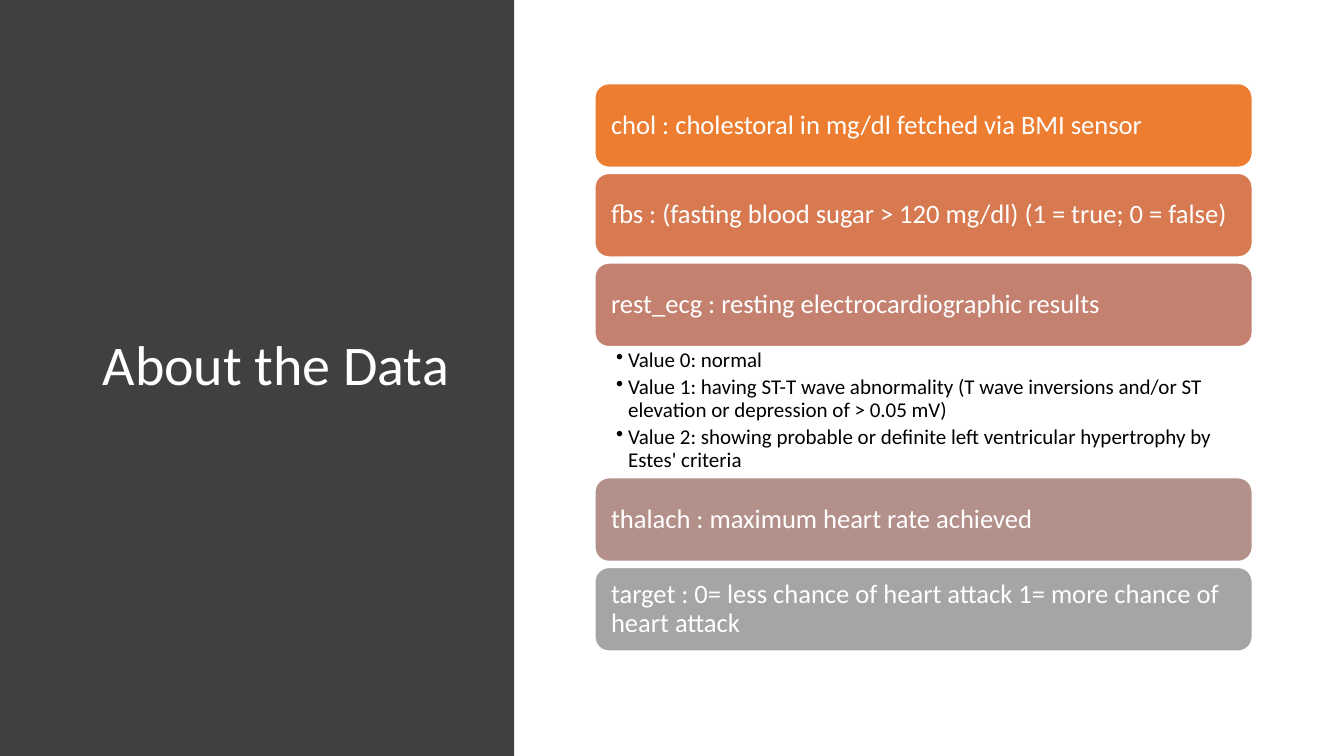
from dataclasses import dataclass

import pptx
import pptx.dml.color
import pptx.enum.shapes
import pptx.enum.text
import pptx.oxml
import pptx.oxml.ns
import pptx.util

Inches = pptx.util.Inches
Pt = pptx.util.Pt
Shapes = pptx.enum.shapes.MSO_SHAPE
Anchor = pptx.enum.text.MSO_ANCHOR


@dataclass(frozen=True)
class Theme:
    font: str = "Calibri"
    title_size: int = 40
    bar_size: int = 19
    bullet_size: int = 15
    panel: str = "404040"
    light: str = "FFFFFF"
    dark: str = "000000"


@dataclass(frozen=True)
class Box:
    left: float
    top: float
    width: float
    height: float

    def lengths(self):
        return [Inches(side) for side in (self.left, self.top, self.width, self.height)]


THEME = Theme()
BAR_HEIGHT = 0.83
BAR_GAP = 0.06
LIST_HEIGHT = 1.3
BULLET_INDENT = 0.12

FIELDS = [
    ("chol : cholestoral in mg/dl fetched via BMI sensor", "ED7D31", []),
    ("fbs : (fasting blood sugar > 120 mg/dl) (1 = true; 0 = false)", "D87A51", []),
    ("rest_ecg : resting electrocardiographic results", "C48170", [
        "Value 0: normal",
        "Value 1: having ST-T wave abnormality (T wave inversions and/or ST "
        "elevation or depression of > 0.05 mV)",
        "Value 2: showing probable or definite left ventricular hypertrophy by "
        "Estes' criteria",
    ]),
    ("thalach : maximum heart rate achieved", "B4908B", []),
    ("target : 0= less chance of heart attack 1= more chance of heart attack", "A5A5A5", []),
]


def color(value):
    return pptx.dml.color.RGBColor.from_string(value)


def prepare_frame(shape, anchor, insets):
    """Set wrapping, anchor and the left, top, right and bottom insets."""
    frame = shape.text_frame
    frame.word_wrap = True
    frame.vertical_anchor = anchor
    (frame.margin_left, frame.margin_top,
     frame.margin_right, frame.margin_bottom) = map(Inches, insets)
    return frame


def write(para, text, size, ink):
    para.alignment = pptx.enum.text.PP_ALIGN.LEFT
    para.line_spacing = 0.9
    span = para.add_run()
    span.text = text
    span.font.name = THEME.font
    span.font.size = Pt(size)
    span.font.color.rgb = color(ink)


def add_block(page, kind, box, fill):
    shape = page.shapes.add_shape(kind, *box.lengths())
    shape.shadow.inherit = False
    shape.fill.solid()
    shape.fill.fore_color.rgb = color(fill)
    return shape


def add_title_panel(page, box):
    panel = add_block(page, Shapes.RECTANGLE, box, THEME.panel)
    panel.line.fill.background()
    title_box = Box(box.left + 0.92, box.top + 0.68, box.width - 1.43, box.height - 1.58)
    title = page.shapes.add_textbox(*title_box.lengths())
    frame = prepare_frame(title, Anchor.MIDDLE, (0.1, 0.05, 0.1, 0.05))
    write(frame.paragraphs[0], "About the Data", THEME.title_size, THEME.light)


def add_bar(page, box, text, fill):
    bar = add_block(page, Shapes.ROUNDED_RECTANGLE, box, fill)
    bar.line.color.rgb = color(THEME.light)
    bar.line.width = Pt(1)
    frame = prepare_frame(bar, Anchor.MIDDLE, (0.12, 0.08, 0.12, 0.08))
    write(frame.paragraphs[0], text, THEME.bar_size, THEME.light)


def add_bullets(page, box, lines):
    shape = page.shapes.add_textbox(*box.lengths())
    frame = prepare_frame(shape, Anchor.TOP, (0.21, 0.03, 0.15, 0.03))
    for index, line in enumerate(lines):
        para = frame.add_paragraph() if index else frame.paragraphs[0]
        write(para, line, THEME.bullet_size, THEME.dark)
        para.space_after = Pt(3)
        properties = para._p.get_or_add_pPr()
        properties.set("marL", str(Inches(BULLET_INDENT)))
        properties.set("indent", str(-Inches(BULLET_INDENT)))
        bullet = pptx.oxml.parse_xml(
            f'<a:buChar {pptx.oxml.ns.nsdecls("a")} char="•"/>')
        properties.append(bullet)


def add_field_list(page, box):
    """Stack the field bars downwards, each followed by its values if any."""
    top = box.top
    for text, fill, values in FIELDS:
        add_bar(page, Box(box.left, top, box.width, BAR_HEIGHT), text, fill)
        top += BAR_HEIGHT
        if values:
            add_bullets(page, Box(box.left, top, box.width, LIST_HEIGHT), values)
            top += LIST_HEIGHT
        else:
            top += BAR_GAP


def main():
    deck = pptx.Presentation()
    deck.slide_width = Inches(13.33)
    deck.slide_height = Inches(7.5)
    page = deck.slides.add_slide(deck.slide_layouts[6])
    add_title_panel(page, Box(0, 0, 5.1, 7.5))
    add_field_list(page, Box(5.9, 0.83, 6.52, 5.63))
    deck.save("out.pptx")


if __name__ == "__main__":
    main()
